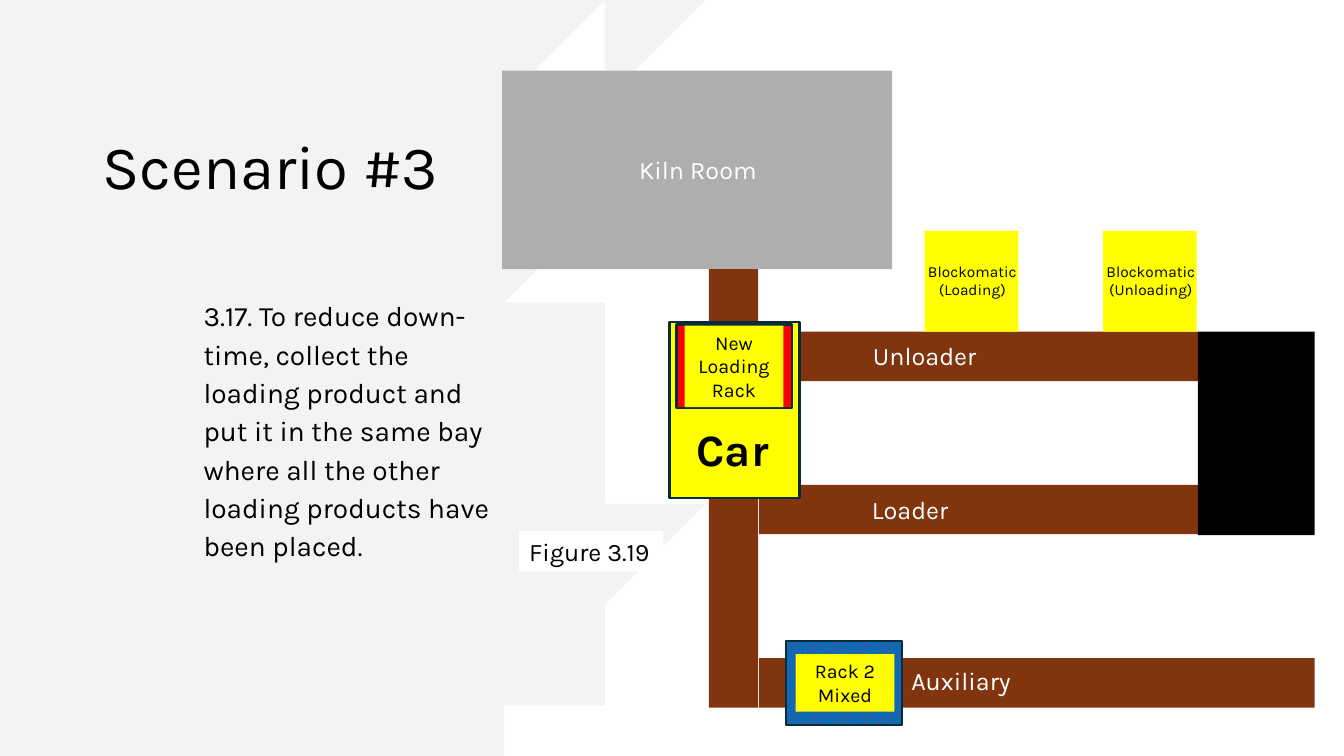
"""Build the Scenario #3 slide: a kiln room track plan beside a short instruction."""
from dataclasses import dataclass

from lxml import etree
from pptx import Presentation
from pptx.dml.color import RGBColor
from pptx.enum.dml import MSO_PATTERN
from pptx.enum.shapes import MSO_SHAPE
from pptx.enum.text import MSO_ANCHOR, MSO_AUTO_SIZE, PP_ALIGN
from pptx.oxml.ns import qn
from pptx.util import Inches, Pt


@dataclass(frozen=True)
class Theme:
    font: str = "Karla"
    black: str = "000000"
    white: str = "FFFFFF"
    brush: str = "E8E8E8"
    kiln: str = "AEAEAE"
    track: str = "80350E"
    yellow: str = "FFFF00"
    red: str = "FF0000"
    blue: str = "0070C0"
    outline: str = "092A39"
    title: int = 44
    car: int = 32
    body: int = 20
    label: int = 18
    rack: int = 14
    machine: int = 11


THEME = Theme()
TITLE = "Scenario #3"
BODY = ("3.17. To reduce down-time, collect the loading product and put it in the same bay "
        "where all the other loading products have been placed.")

BRUSH_EDGE = [
    (5.38, 0), (0, 0), (0, 7.5), (4.91, 7.5), (5.3, 7.27), (5.34, 7.11), (5.82, 6.75),
    (5.24, 6.85), (5.53, 6.64), (5.8, 6.36), (5.58, 6.38), (5.76, 6.05), (6.26, 5.52),
    (5.87, 5.7), (6.51, 5.09), (6.17, 5.1), (6.49, 4.84), (6.18, 4.87), (5.98, 4.52),
    (5.95, 4.1), (6.2, 3.75), (6.15, 3.56), (5.76, 3.67), (6.34, 3.24), (6.02, 3.22),
    (5.81, 2.82), (5, 2.78), (5.39, 2.64), (5.56, 2.41), (6.06, 2.08), (4.85, 2.43),
    (5.22, 2.29), (4.83, 2.25), (5.16, 1.82), (5.42, 1.35), (5.27, 1.34), (5.64, 1.04),
    (5.53, 0.99), (6.05, 0.72), (6.51, 0.5), (6.29, 0.5), (5.96, 0.6), (5.43, 0.6),
    (5.68, 0.45), (5.65, 0.36), (5.49, 0.49), (5.42, 0.38), (5.13, 0.4), (5.21, 0.25),
    (5.45, 0.17), (5.48, 0.08), (5.09, 0.12),
]

TRACK_WIDTH = 0.49
TRACK_LEFT, TRACK_TOP, TRACK_BOTTOM = 7.03, 2.67, 7.02
BRANCH_LEFT = TRACK_LEFT + TRACK_WIDTH + 0.01
BRANCHES = [(3.29, 4.35), (4.81, 4.35), (6.53, 5.51)]
TRACK_LABELS = [("Unloader", 8.56, 3.33, 1.26), ("Loader", 8.55, 4.85, 1.26),
                ("Kiln Room", 6.24, 1.48, 1.37)]
MACHINES = [("Blockomatic (Loading)", 9.17), ("Blockomatic (Unloading)", 10.94)]


def color(name):
    return RGBColor.from_string(getattr(THEME, name))


def write(shape, lines, size, tone="black", align=PP_ALIGN.LEFT, bold=False, grow=True):
    frame = shape.text_frame
    frame.word_wrap = True
    frame.vertical_anchor = MSO_ANCHOR.TOP
    frame.auto_size = MSO_AUTO_SIZE.SHAPE_TO_FIT_TEXT if grow else MSO_AUTO_SIZE.NONE
    for index, line in enumerate(lines):
        para = frame.add_paragraph() if index else frame.paragraphs[0]
        para.alignment = align
        span = para.add_run()
        span.text = line
        span.font.name = THEME.font
        span.font.size = Pt(size)
        span.font.bold = bold
        span.font.color.rgb = color(tone)
    return frame


def add_label(page, at, lines, size, **style):
    box = page.shapes.add_textbox(*map(Inches, at))
    return write(box, lines, size, **style)


def add_block(page, at, fill, outlined=False):
    block = page.shapes.add_shape(MSO_SHAPE.RECTANGLE, *map(Inches, at))
    block.shadow.inherit = False
    block.fill.solid()
    block.fill.fore_color.rgb = color(fill)
    if outlined:
        block.line.color.rgb = color("outline")
        block.line.width = Pt(1.5)
    else:
        block.line.fill.background()
    return block


def add_brush(page):
    builder = page.shapes.build_freeform(*BRUSH_EDGE[0], scale=Inches(1))
    builder.add_line_segments(BRUSH_EDGE[1:], close=True)
    brush = builder.convert_to_shape()
    brush.shadow.inherit = False
    brush.line.fill.background()
    brush.fill.solid()
    brush.fill.fore_color.rgb = color("brush")
    tint = brush._element.spPr.find(qn("a:solidFill"))[0]
    etree.SubElement(tint, qn("a:alpha")).set("val", "50000")


def add_instruction(page):
    title = add_label(page, (0.92, 0.7, 4.25, 1.97), [TITLE], THEME.title, grow=False)
    title.vertical_anchor = MSO_ANCHOR.MIDDLE
    title.paragraphs[0].line_spacing = 0.9
    body = add_label(page, (0.92, 2.87, 4.25, 3.89), [BODY], THEME.body, grow=False)
    para = body.paragraphs[0]
    para.line_spacing = 1.14
    para.space_after = Pt(6)
    para._p.get_or_add_pPr().set("marL", str(Inches(1)))


def add_tracks(page):
    add_block(page, (4.98, 0.7, 3.87, 1.97), "kiln")
    add_block(page, (TRACK_LEFT, TRACK_TOP, TRACK_WIDTH, TRACK_BOTTOM - TRACK_TOP), "track")
    for top, length in BRANCHES:
        add_block(page, (BRANCH_LEFT, top, length, TRACK_WIDTH), "track")
    for text, left, top, width in TRACK_LABELS:
        add_label(page, (left, top, width, 0.4), [text], THEME.label, tone="white")
    add_block(page, (11.88, 3.29, 1.16, 2.02), "black")


def add_equipment(page):
    center = PP_ALIGN.CENTER
    for text, left in MACHINES:
        add_block(page, (left, 2.29, 0.93, 1), "yellow")
        add_label(page, (left - 0.19, 2.55, 1.33, 0.47), [text], THEME.machine, align=center)
    figure = add_block(page, (5.15, 5.27, 1.43, 0.4), "white")
    write(figure, ["Figure 3.19"], THEME.label)

    mixed = add_block(page, (7.8, 6.36, 1.15, 0.83), "blue", outlined=True)
    mixed.fill.patterned()
    mixed.fill.pattern = MSO_PATTERN.WIDE_UPWARD_DIAGONAL
    mixed.fill.fore_color.rgb = color("red")
    mixed.fill.back_color.rgb = color("blue")
    mixed_face = add_block(page, (7.89, 6.49, 0.98, 0.57), "yellow")
    write(mixed_face, ["Rack 2", "Mixed"], THEME.rack, align=center)

    add_block(page, (6.64, 3.19, 1.29, 1.75), "yellow", outlined=True)
    add_block(page, (6.71, 3.22, 1.15, 0.83), "red", outlined=True)
    loading_face = add_block(page, (6.79, 3.23, 0.98, 0.81), "yellow")
    write(loading_face, ["New Loading Rack"], THEME.rack, align=center)
    add_label(page, (6.81, 4.13, 0.95, 0.64), ["Car"], THEME.car, bold=True)
    add_label(page, (8.94, 6.55, 1.26, 0.42), ["Auxiliary"], THEME.label, tone="white")


def main():
    deck = Presentation()
    deck.slide_width, deck.slide_height = Inches(13.33), Inches(7.5)
    page = deck.slides.add_slide(deck.slide_layouts[6])
    add_brush(page)
    add_instruction(page)
    add_tracks(page)
    add_equipment(page)
    deck.save("out.pptx")


if __name__ == "__main__":
    main()
